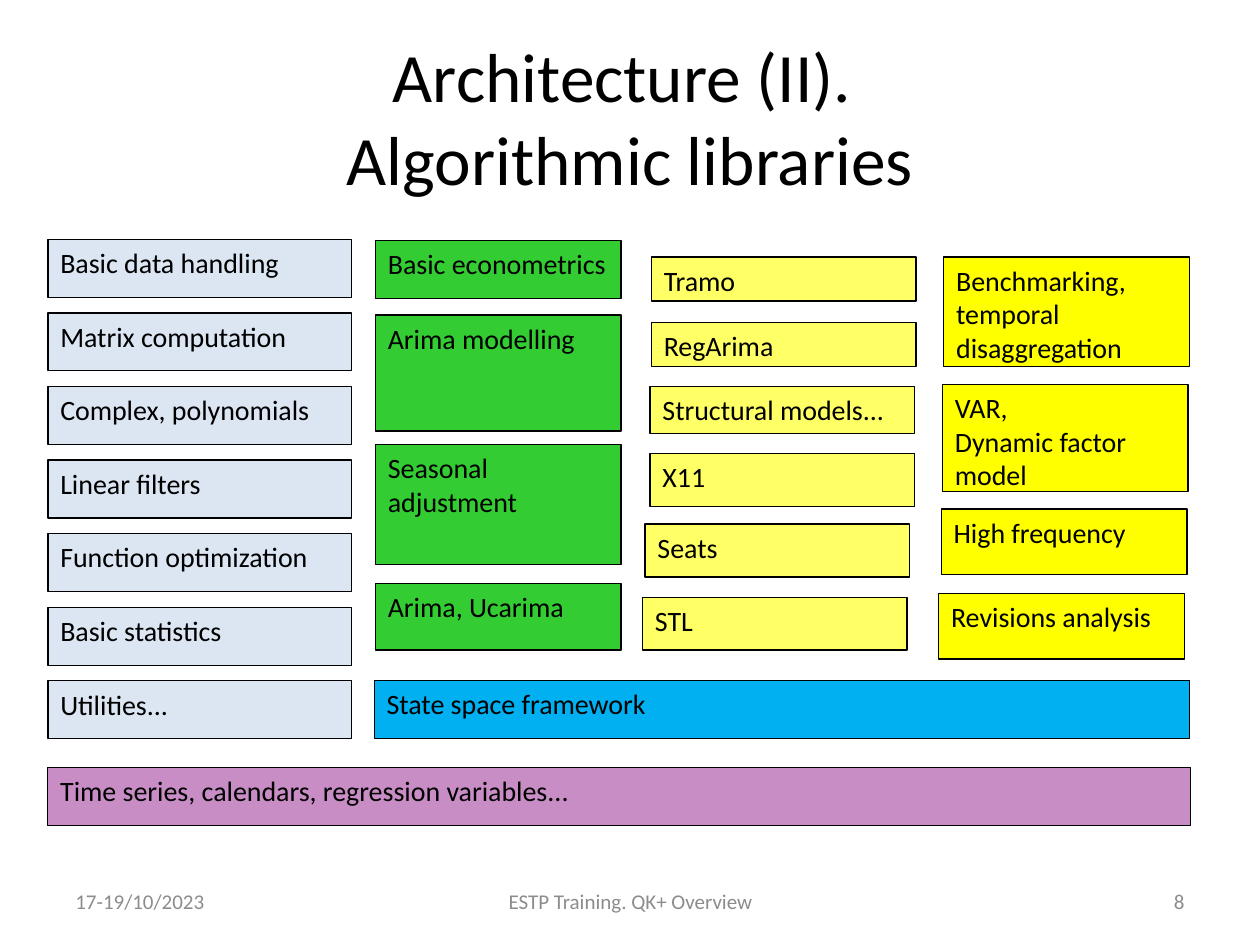
from pptx import Presentation
from pptx.dml.color import RGBColor
from pptx.enum.shapes import MSO_SHAPE
from pptx.enum.text import MSO_ANCHOR, MSO_AUTO_SIZE, PP_ALIGN
from pptx.util import Inches, Pt

RECTANGLE = MSO_SHAPE.RECTANGLE
TOP, MIDDLE = MSO_ANCHOR.TOP, MSO_ANCHOR.MIDDLE
LEFT, CENTER, RIGHT = PP_ALIGN.LEFT, PP_ALIGN.CENTER, PP_ALIGN.RIGHT
NO_AUTOFIT = MSO_AUTO_SIZE.NONE

BLACK = RGBColor(0x00, 0x00, 0x00)
GREY = RGBColor(0x8C, 0x8C, 0x8C)
PALE_BLUE = RGBColor(0xDC, 0xE6, 0xF2)
GREEN = RGBColor(0x33, 0xCC, 0x33)
PALE_YELLOW = RGBColor(0xFF, 0xFF, 0x66)
YELLOW = RGBColor(0xFF, 0xFF, 0x00)
BLUE = RGBColor(0x00, 0xB0, 0xF0)
MAUVE = RGBColor(0xC9, 0x8D, 0xC6)

COLUMNS, ROWS = 100, 75
TITLE_ONLY = 5


def write(sp, text, size=16, color=BLACK, align=LEFT, anchor=TOP, font="Calibri"):
    """Fill a shape with text, one paragraph for each line."""
    tf = sp.text_frame
    tf.word_wrap = True
    tf.auto_size = NO_AUTOFIT
    tf.vertical_anchor = anchor
    tf.text = text
    for p in tf.paragraphs:
        p.alignment = align
        for r in p.runs:
            r.font.name = font
            r.font.size = Pt(size)
            r.font.color.rgb = color


class SlideBuilder:
    """Holds the slide and its grid; places are (column, row, columns, rows)."""

    def __init__(self, prs):
        self.column = prs.slide_width / COLUMNS
        self.row = prs.slide_height / ROWS
        self.s = prs.slides.add_slide(prs.slide_layouts[TITLE_ONLY])

    def place(self, x, y, w, h):
        return (round(x * self.column), round(y * self.row),
                round(w * self.column), round(h * self.row))

    def title(self, text, *place):
        sp = self.s.shapes.title
        sp.left, sp.top, sp.width, sp.height = self.place(*place)
        write(sp, text, size=39.6, align=CENTER, anchor=MIDDLE)

    def label(self, text, *place, **style):
        sp = self.s.shapes.add_textbox(*self.place(*place))
        write(sp, text, **style)

    def box(self, text, fill, *place):
        sp = self.s.shapes.add_shape(RECTANGLE, *self.place(*place))
        sp.shadow.inherit = False
        sp.fill.solid()
        sp.fill.fore_color.rgb = fill
        sp.line.color.rgb = BLACK
        sp.line.width = Pt(0.75)
        write(sp, text)

    def stack(self, fill, width, boxes):
        """Draw boxes of one colour and width from (text, column, row, rows)."""
        for text, x, y, h in boxes:
            self.box(text, fill, x, y, width, h)


BASICS = ["Basic data handling", "Matrix computation", "Complex, polynomials",
          "Linear filters", "Function optimization", "Basic statistics",
          "Utilities..."]
BASICS_LEFT, BASICS_TOP, BASICS_STEP, BAR_HEIGHT = 3.8, 19, 5.84, 4.6

MODELS = [("Basic econometrics", 29.8, 19.1, BAR_HEIGHT),
          ("Arima modelling", 29.8, 25, 9.2),
          ("Seasonal adjustment", 29.8, 35.3, 9.5),
          ("Arima, Ucarima", 29.8, 46.3, 5.3)]
METHODS = [("Tramo", 51.7, 20.4, 3.5),
           ("RegArima", 51.7, 25.6, 3.5),
           ("Structural models...", 51.6, 30.7, 3.7),
           ("X11", 51.6, 36, 4.2),
           ("Seats", 51.2, 41.6, 4.2),
           ("STL", 51, 47.4, 4.2)]
EXTENSIONS = [("Benchmarking, temporal disaggregation", 74.9, 20.4, 8.7),
              ("VAR,\nDynamic factor model", 74.8, 30.5, 8.5),
              ("High frequency", 74.7, 40.4, 5.2),
              ("Revisions analysis", 74.5, 47.1, 5.2)]
FOOTER = [("17-19/10/2023", 5, 23.3, LEFT),
          ("ESTP Training. QK+ Overview", 34.2, 31.7, CENTER),
          ("8", 71.7, 23.3, RIGHT)]


def main():
    prs = Presentation()
    prs.slide_width, prs.slide_height = Inches(10), Inches(7.5)
    slide = SlideBuilder(prs)

    slide.title("Architecture (II). \vAlgorithmic libraries", 5, 3, 90, 12.5)
    slide.stack(PALE_BLUE, 24.1,
                [(text, BASICS_LEFT, BASICS_TOP + i * BASICS_STEP, BAR_HEIGHT)
                 for i, text in enumerate(BASICS)])
    slide.stack(GREEN, 19.5, MODELS)
    slide.stack(PALE_YELLOW, 21, METHODS)
    slide.stack(YELLOW, 19.5, EXTENSIONS)
    slide.box("State space framework", BLUE, 29.7, 54, 64.7, BAR_HEIGHT)
    slide.box("Time series, calendars, regression variables...", MAUVE,
              BASICS_LEFT, 60.9, 90.7, BAR_HEIGHT)
    for text, x, width, align in FOOTER:
        slide.label(text, x, 69.5, width, 4, size=12, color=GREY,
                    align=align, anchor=MIDDLE)

    prs.save("out.pptx")


if __name__ == "__main__":
    main()
